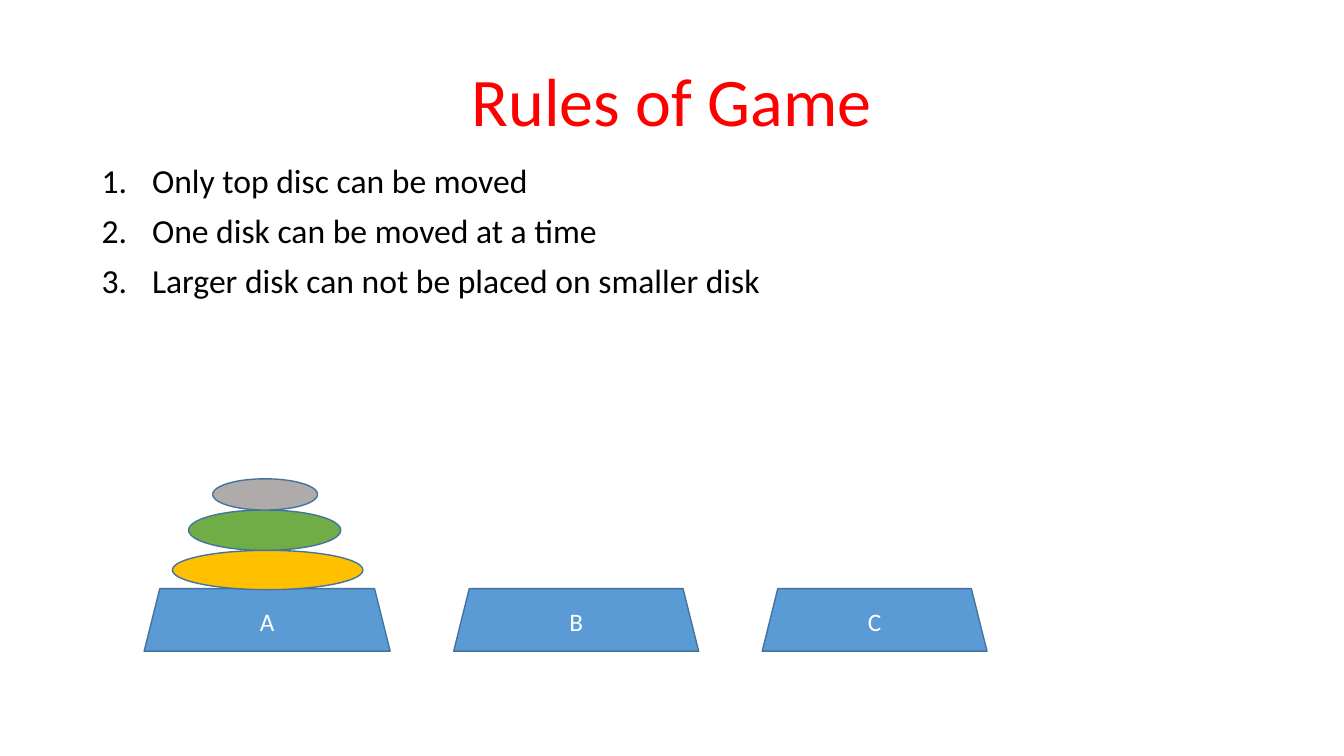
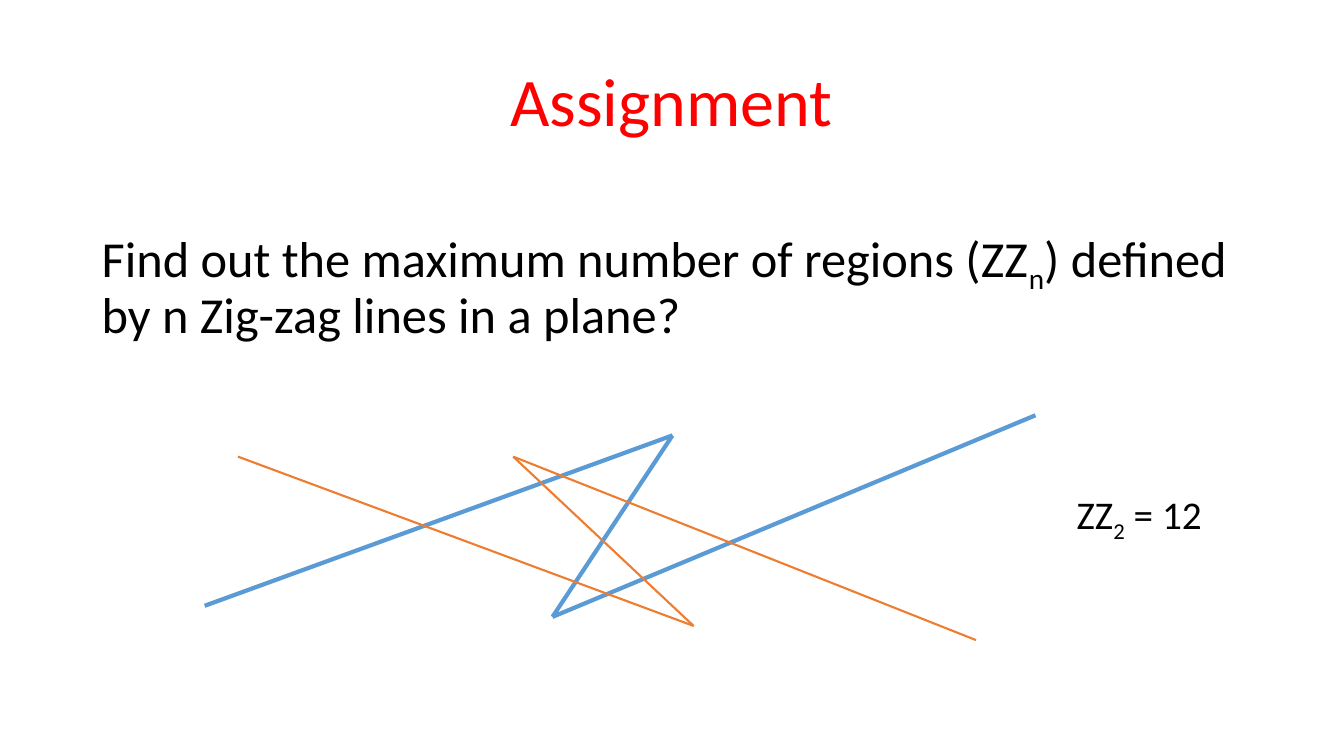
"""Build two slides: the disc game's rules and a zig-zag line assignment."""
import itertools

import lxml.etree
import pptx
import pptx.dml.color
import pptx.enum.shapes
import pptx.enum.text
import pptx.oxml.ns
import pptx.util

PX = 9144
FONT = "Calibri"
COLORS = {
    "title": "FF0000",
    "text": "000000",
    "label": "FFFFFF",
    "blue": "5B9BD5",
    "outline": "43739E",
    "gold": "FFC000",
    "green": "70AD47",
    "gray": "AFABAB",
    "orange": "ED7D31",
}
RGB = {name: pptx.dml.color.RGBColor.from_string(value) for name, value in COLORS.items()}
ALIGN = pptx.enum.text.PP_ALIGN
ANCHOR = pptx.enum.text.MSO_ANCHOR
SHAPE = pptx.enum.shapes.MSO_SHAPE
STRAIGHT = pptx.enum.shapes.MSO_CONNECTOR.STRAIGHT


def write_runs(paragraph, runs, size, color="text"):
    """Add plain strings as runs and one-item tuples as subscripts."""
    for text in runs:
        run = paragraph.add_run()
        run.text = text[0] if isinstance(text, tuple) else text
        run.font.name = FONT
        run.font.size = pptx.util.Pt(size)
        run.font.color.rgb = RGB[color]
        if isinstance(text, tuple):
            run.font._element.set("baseline", "-25000")


def add_box(slide, left, top, width, height):
    """Add a wrapping text box and return its text frame."""
    box = slide.shapes.add_textbox(left * PX, top * PX, width * PX, height * PX)
    box.text_frame.word_wrap = True
    return box.text_frame


presentation = pptx.Presentation()
presentation.slide_width = 1333 * PX
presentation.slide_height = 750 * PX

slides = []
for title in ("Rules of Game", "Assignment"):
    slide = presentation.slides.add_slide(presentation.slide_layouts[6])
    frame = add_box(slide, 91, 60, 1150, 85)
    frame.vertical_anchor = ANCHOR.BOTTOM
    paragraph = frame.paragraphs[0]
    paragraph.alignment = ALIGN.CENTER
    paragraph.line_spacing = 0.9
    write_runs(paragraph, [title], 48.6, "title")
    slides.append(slide)
rules_slide, assignment_slide = slides

rules = (
    "Only top disc can be moved",
    "One disk can be moved at a time",
    "Larger disk can not be placed on smaller disk",
)
frame = add_box(rules_slide, 91, 158, 1150, 508)
for index, rule in enumerate(rules):
    paragraph = frame.add_paragraph() if index else frame.paragraphs[0]
    properties = paragraph._p.get_or_add_pPr()
    properties.set("marL", str(50 * PX))
    properties.set("indent", str(-50 * PX))
    number = lxml.etree.SubElement(properties, pptx.oxml.ns.qn("a:buAutoNum"))
    number.set("type", "arabicPeriod")
    paragraph.line_spacing = 0.9
    if index:
        paragraph.space_before = pptx.util.Pt(10)
    write_runs(paragraph, [rule], 24)

pieces = []
left = 143
for label, width in (("A", 244), ("B", 243), ("C", 223)):
    pieces.append((SHAPE.TRAPEZOID, left, 584, width, 62, "blue", label))
    left += width + 63
bottom = 585
for left, width, height, color in (
    (171, 189, 39, "gold"),
    (187, 151, 40, "green"),
    (211, 104, 31, "gray"),
):
    bottom -= height
    pieces.append((SHAPE.OVAL, left, bottom, width, height, color, ""))

for kind, left, top, width, height, color, label in pieces:
    shape = rules_slide.shapes.add_shape(kind, left * PX, top * PX, width * PX, height * PX)
    shape.shadow.inherit = False
    shape.fill.solid()
    shape.fill.fore_color.rgb = RGB[color]
    shape.line.color.rgb = RGB["outline"]
    shape.line.width = pptx.util.Pt(1)
    if label:
        shape.text_frame.vertical_anchor = ANCHOR.MIDDLE
        paragraph = shape.text_frame.paragraphs[0]
        paragraph.alignment = ALIGN.CENTER
        write_runs(paragraph, [label], 18, "label")

question = (
    "Find out the maximum number of regions (ZZ",
    ("n",),
    ") defined by n Zig-zag lines in a plane?",
)
paragraph = add_box(assignment_slide, 91, 221, 1150, 445).paragraphs[0]
paragraph.line_spacing = 0.9
write_runs(paragraph, question, 36)

zigzags = (
    ("blue", 3, ((203, 601), (667, 432), (548, 612), (1027, 412))),
    ("orange", 1.5, ((236, 453), (688, 621), (509, 453), (968, 635))),
)
for color, weight, points in zigzags:
    for start, end in itertools.pairwise(points):
        line = assignment_slide.shapes.add_connector(
            STRAIGHT, *(length * PX for length in start + end)
        )
        line.line.color.rgb = RGB[color]
        line.line.width = pptx.util.Pt(weight)
        lxml.etree.SubElement(line.element.spPr, pptx.oxml.ns.qn("a:effectLst"))

frame = add_box(assignment_slide, 1058, 482, 173, 57)
write_runs(frame.paragraphs[0], ("ZZ", ("2",), " = 12"), 28)

presentation.save("out.pptx")
